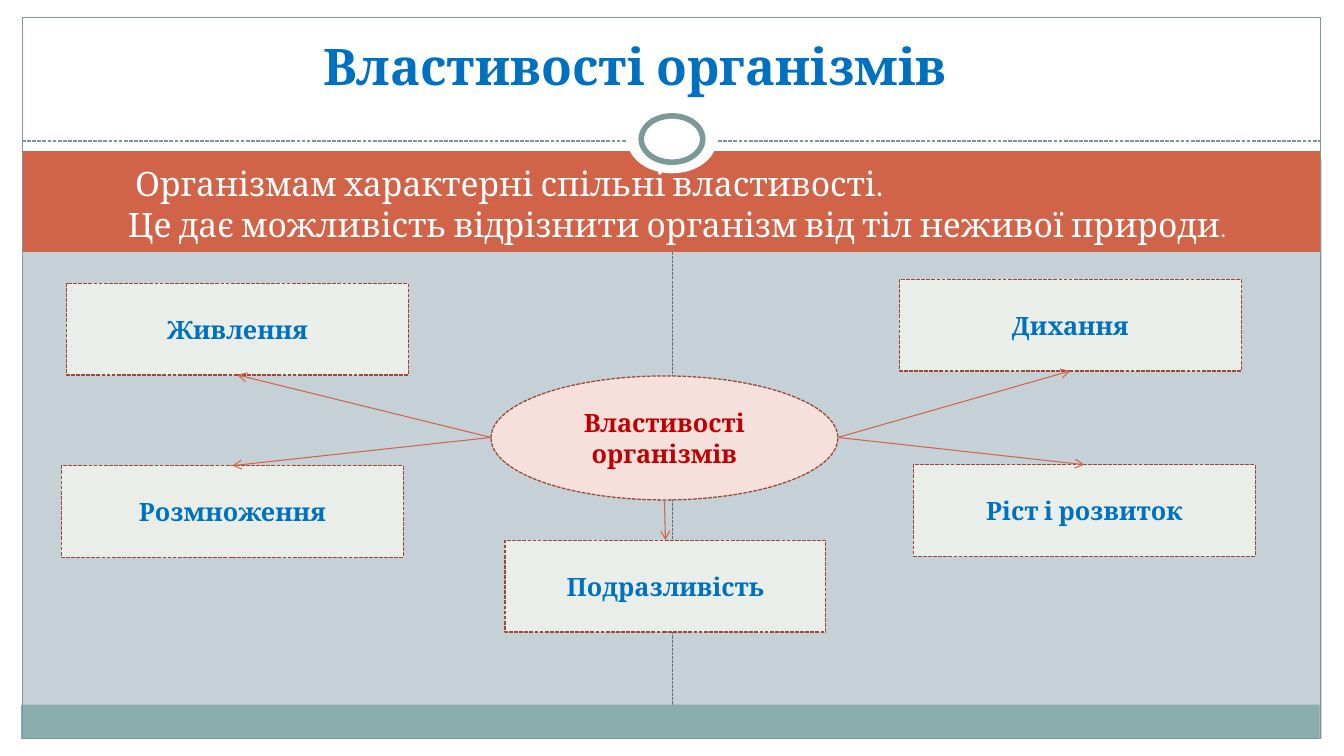
from lxml import etree
from pptx import Presentation
from pptx.dml.color import RGBColor
from pptx.enum.dml import MSO_LINE
from pptx.enum.shapes import MSO_CONNECTOR, MSO_SHAPE
from pptx.enum.text import MSO_ANCHOR, PP_ALIGN
from pptx.oxml.ns import qn
from pptx.util import Inches, Pt

RECT, OVAL = MSO_SHAPE.RECTANGLE, MSO_SHAPE.OVAL
STRAIGHT = MSO_CONNECTOR.STRAIGHT
DASH = MSO_LINE.SQUARE_DOT
CENTER, LEFT = PP_ALIGN.CENTER, PP_ALIGN.LEFT
MIDDLE, TOP = MSO_ANCHOR.MIDDLE, MSO_ANCHOR.TOP
RECT_TOP, RECT_BOTTOM = 0, 2

COLORS = {
    "background": "C5D1D7", "white": "FFFFFF", "banner": "D16349",
    "footer": "8CADAE", "frame": "7C999A", "divider": "646B86",
    "hub": "F6E0DB", "box": "E9EFE8", "border": "9B4936",
    "blue": "0070C0", "red": "C00000",
}

HUB = (4.87, 3.73, 3.44, 1.23)
HUB_LEFT, HUB_RIGHT, HUB_BOTTOM = (4.87, 4.34), (8.31, 4.34), (6.59, 4.96)

PROPERTIES = [
    ("Живлення", (0.66, 2.81, 3.39, 0.91), HUB_LEFT, RECT_BOTTOM),
    ("Розмноження", (0.61, 4.62, 3.39, 0.91), HUB_LEFT, RECT_TOP),
    ("Подразливість", (5.01, 5.36, 3.18, 0.91), HUB_BOTTOM, RECT_TOP),
    ("Ріст і розвиток", (9.06, 4.61, 3.39, 0.91), HUB_RIGHT, RECT_TOP),
    ("Дихання", (8.92, 2.77, 3.39, 0.91), HUB_RIGHT, RECT_BOTTOM),
]


def rgb(name):
    return RGBColor.from_string(COLORS[name])


def style_line(line, color, width, dash=None):
    line.color.rgb = rgb(color)
    line.width = Pt(width)
    if dash:
        line.dash_style = dash


def add_panel(page, kind, place, fill=None, line=None):
    panel = page.shapes.add_shape(kind, *map(Inches, place))
    panel.shadow.inherit = False
    if fill:
        panel.fill.solid()
        panel.fill.fore_color.rgb = rgb(fill)
    else:
        panel.fill.background()
    if line:
        style_line(panel.line, *line)
    else:
        panel.line.fill.background()
    return panel


def add_line(page, start, end, *style):
    line = page.shapes.add_connector(STRAIGHT, *map(Inches, (*start, *end)))
    style_line(line.line, *style)
    etree.SubElement(line._element.spPr, qn("a:effectLst"))
    return line


def add_arrow(page, start, target, site):
    arrow = add_line(page, start, start, "banner", 0.75)
    arrow.end_connect(target, site)
    tail = etree.SubElement(arrow.line._get_or_add_ln(), qn("a:tailEnd"))
    tail.set("type", "arrow")


def write(para, text, size, color, bold=False):
    span = para.add_run()
    span.text = text
    span.font.color.rgb = rgb(color)
    formats = {"name": "Cambria", "size": Pt(size), "bold": bold}
    for name, value in formats.items():
        setattr(span.font, name, value)


def set_frame(frame, anchor):
    formats = {"word_wrap": True, "vertical_anchor": anchor}
    for name, value in formats.items():
        setattr(frame, name, value)


def add_label(page, kind, place, text, fill, color):
    box = add_panel(page, kind, place, fill, ("border", 0.9, DASH))
    set_frame(box.text_frame, MIDDLE)
    para = box.text_frame.paragraphs[0]
    para.alignment = CENTER
    write(para, text, 18, color, True)
    return box


def add_backdrop(page):
    page.background.fill.solid()
    page.background.fill.fore_color.rgb = rgb("background")
    add_line(page, (6.67, 6.99), (6.67, 2.41), "divider", 0.75, DASH)
    for place in [(0, 0, 13.33, 1.58), (0, 7.33, 13.33, 0.17),
                  (0, 0, 0.22, 7.5), (13.11, 0, 0.22, 7.5)]:
        add_panel(page, RECT, place, "white")
    add_panel(page, RECT, (0.22, 1.5, 12.88, 1), "banner")
    add_panel(page, RECT, (0.21, 6.99, 12.88, 0.34), "footer")
    add_line(page, (0.22, 1.4), (13.1, 1.4), "frame", 0.9, DASH)
    add_panel(page, RECT, (0.22, 0.17, 12.88, 7.16), line=("frame", 0.75))
    add_panel(page, OVAL, (6.22, 1.05, 0.89, 0.67), "white")
    add_panel(page, OVAL, (6.36, 1.15, 0.61, 0.46), "white", ("frame", 4))


def add_intro(page):
    box = page.shapes.add_textbox(*map(Inches, (1.17, 1.57, 11.56, 0.91)))
    set_frame(box.text_frame, TOP)
    first = box.text_frame.paragraphs[0]
    second = box.text_frame.add_paragraph()
    write(first, " Організмам характерні спільні властивості.", 24, "white")
    write(second, "Це дає можливість відрізнити організм від тіл неживої природи",
          24, "white")
    write(second, ".", 18, "white")
    for para in (first, second):
        para.alignment = LEFT


def place_title(page, text):
    title = page.shapes.title
    place = {"left": 0.44, "top": 0.3, "width": 11.73, "height": 1.03}
    for name, value in place.items():
        setattr(title, name, Inches(value))
    set_frame(title.text_frame, TOP)
    para = title.text_frame.paragraphs[0]
    para.alignment = CENTER
    write(para, text, 36, "blue", True)
    page.shapes._spTree.append(title._element)


def main():
    deck = Presentation()
    deck.slide_width, deck.slide_height = Inches(13.33), Inches(7.5)
    page = deck.slides.add_slide(deck.slide_layouts[5])
    add_backdrop(page)
    add_intro(page)
    place_title(page, "Властивості організмів")
    add_label(page, OVAL, HUB, "Властивості організмів", "hub", "red")
    for text, place, start, site in PROPERTIES:
        box = add_label(page, RECT, place, text, "box", "blue")
        add_arrow(page, start, box, site)
    deck.save("out.pptx")


if __name__ == "__main__":
    main()
